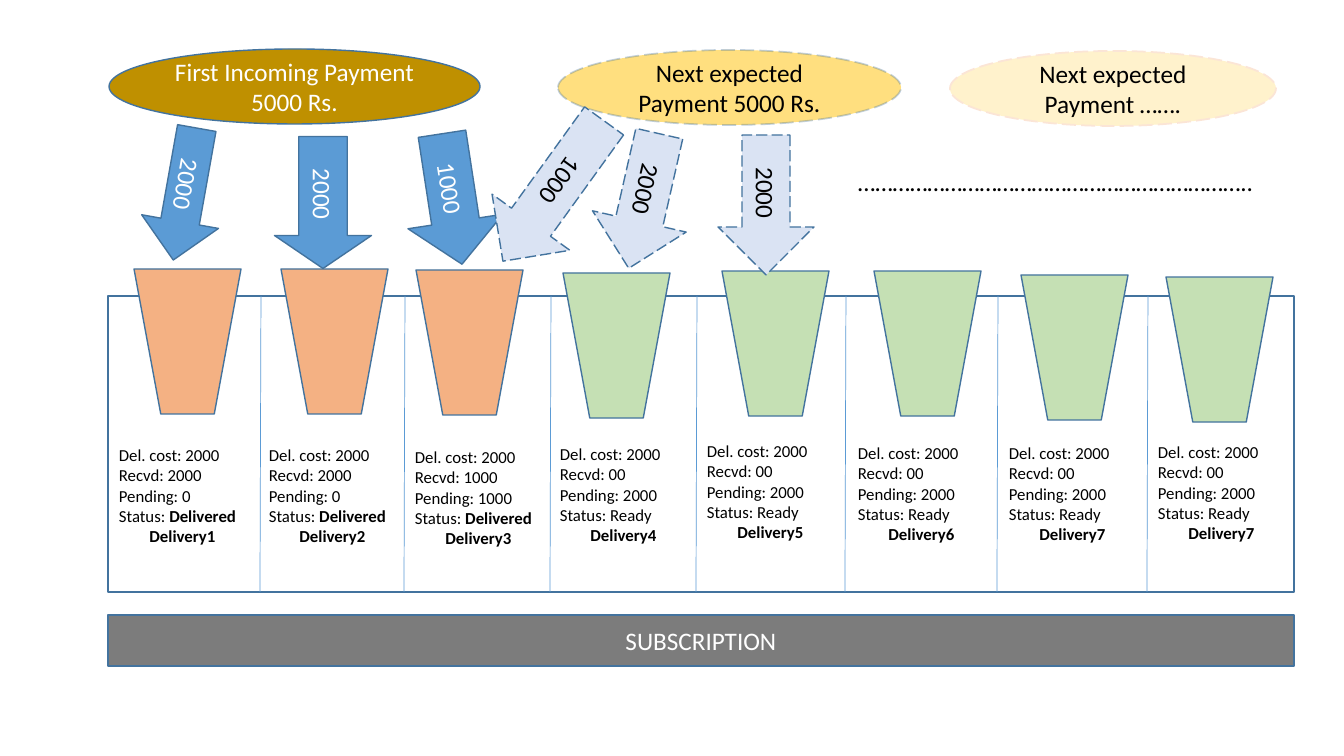
"""Build the slide on payments that fill a subscription of deliveries."""
from lxml import etree
from pptx import Presentation
from pptx.dml.color import RGBColor
from pptx.enum.dml import MSO_LINE
from pptx.enum.shapes import MSO_CONNECTOR, MSO_SHAPE
from pptx.enum.text import MSO_ANCHOR, PP_ALIGN
from pptx.oxml.ns import qn
from pptx.util import Pt

SCALE = 914400 / 100.8
DASH = MSO_LINE.LONG_DASH
RECT, OVAL = MSO_SHAPE.RECTANGLE, MSO_SHAPE.OVAL
CUP, ARROW = MSO_SHAPE.TRAPEZOID, MSO_SHAPE.RIGHT_ARROW
STRAIGHT = MSO_CONNECTOR.STRAIGHT
CENTER, MIDDLE = PP_ALIGN.CENTER, MSO_ANCHOR.MIDDLE
FONT = "Calibri"
COLORS = {
    "edge": "43739E", "rule": "5B9BD5", "paid": "F4B183", "ready": "C5E0B4",
    "bar": "7C7C7C", "gold": "BF9000", "amber": "FFD966", "cream": "FFF2CC",
    "blush": "FBE5D6", "blue": "5B9BD5", "pale": "DAE3F3",
    "white": "FFFFFF", "black": "000000",
}
HEX = {name: RGBColor.from_string(code) for name, code in COLORS.items()}

deck = Presentation()
deck.slide_width, deck.slide_height = round(1344 * SCALE), round(756 * SCALE)
slide = deck.slides.add_slide(deck.slide_layouts[6])
shapes = slide.shapes


def write(frame, text, ink, size):
    """Set the text of a frame in one font, size and colour."""
    frame.word_wrap = True
    frame.text = text
    for para in frame.paragraphs:
        for run in para.runs:
            run.font.name, run.font.size = FONT, Pt(size)
            run.font.color.rgb = HEX[ink]


def draw(kind, box, fill=None, edge="edge", width=1, dash=None,
         text="", ink="white", turn=0):
    """Add a preset shape with fill, outline and centred text."""
    shape = shapes.add_shape(kind, *[round(n * SCALE) for n in box])
    shape.shadow.inherit = False
    shape.rotation = turn
    if fill:
        shape.fill.solid()
        shape.fill.fore_color.rgb = HEX[fill]
    else:
        shape.fill.background()
    shape.line.color.rgb = HEX[edge]
    shape.line.width = Pt(width)
    if dash:
        shape.line.dash_style = dash
    if text:
        write(shape.text_frame, text, ink, 18)
        shape.text_frame.vertical_anchor = MIDDLE
        shape.text_frame.paragraphs[0].alignment = CENTER
    return shape


draw(RECT, (108, 296, 1186, 296))
for x in (261, 405, 551, 697, 846, 998, 1148):
    ends = [round(n * SCALE) for n in (x, 296, x - 1, 592)]
    rule = shapes.add_connector(STRAIGHT, *ends)
    rule.line.color.rgb = HEX["rule"]
    rule.line.width = Pt(0.5)
    etree.SubElement(rule._element.spPr, qn("a:effectLst"))

cells = [
    (134, 269, 109, 440, 1, 2000),
    (281, 269, 259, 440, 2, 2000),
    (416, 270, 405, 442, 3, 1000),
    (563, 273, 550, 439, 4, 0),
    (722, 271, 697, 436, 5, 0),
    (874, 271, 848, 438, 6, 0),
    (1021, 275, 999, 438, 7, 0),
    (1166, 277, 1148, 437, 7, 0),
]
for left, top, x, y, num, got in cells:
    draw(CUP, (left, top, 107, 145), "paid" if got else "ready", turn=180)
    note = shapes.add_textbox(*[round(n * SCALE) for n in (x, y, 147, 112)])
    state = "Delivered" if got else "Ready"
    lines = ["Del. cost: 2000", f"Recvd: {got or '00'}",
             f"Pending: {2000 - got}", "Status: ", f"Delivery{num}"]
    write(note.text_frame, "\n".join(lines), "black", 12)
    paras = note.text_frame.paragraphs
    run = paras[3].add_run()
    run.text = state
    run.font.name, run.font.size = FONT, Pt(12)
    run.font.color.rgb = HEX["black"]
    run.font.bold = got > 0
    paras[4].alignment = CENTER
    paras[4].runs[0].font.bold = True

draw(RECT, (108, 615, 1186, 51), "bar", text="SUBSCRIPTION")

draw(OVAL, (109, 49, 371, 75), "gold", text="First Incoming Payment 5000 Rs.")
paid = [
    ((118, 155, 134, 78), 100.1, "2000", 0.5),
    ((257, 154, 132, 97), 90, "2000", 0.34),
    ((386, 151, 132, 96), 81.3, "1000", 0.45),
]
for box, turn, text, head in paid:
    arrow = draw(ARROW, box, "blue", text=text, turn=turn)
    arrow.adjustments[1] = head

due = draw(OVAL, (558, 50, 343, 75), "amber", width=1.25, dash=DASH,
           text="Next expected Payment 5000 Rs.", ink="black")
props = due._element.spPr
for part, alpha in ((props, 83), (props.find(qn("a:ln")), 32)):
    color = part.find(qn("a:solidFill"))[0]
    etree.SubElement(color, qn("a:alpha"), val=str(alpha * 1000))

planned = [
    ((467, 143, 173, 96), 125.8, "1000"),
    ((575, 153, 138, 96), 102.8, "2000"),
    ((696, 157, 140, 96), 90, "2000"),
]
for box, turn, text in planned:
    draw(ARROW, box, "pale", dash=DASH, text=text, ink="black", turn=turn)

draw(OVAL, (950, 51, 326, 75), "cream", "blush", 1.25, DASH,
     "Next expected Payment …….", "black")
dots = shapes.add_textbox(*[round(n * SCALE) for n in (848, 161, 417, 40)])
write(dots.text_frame, "…" * 22 + "..", "black", 18)

deck.save("out.pptx")
